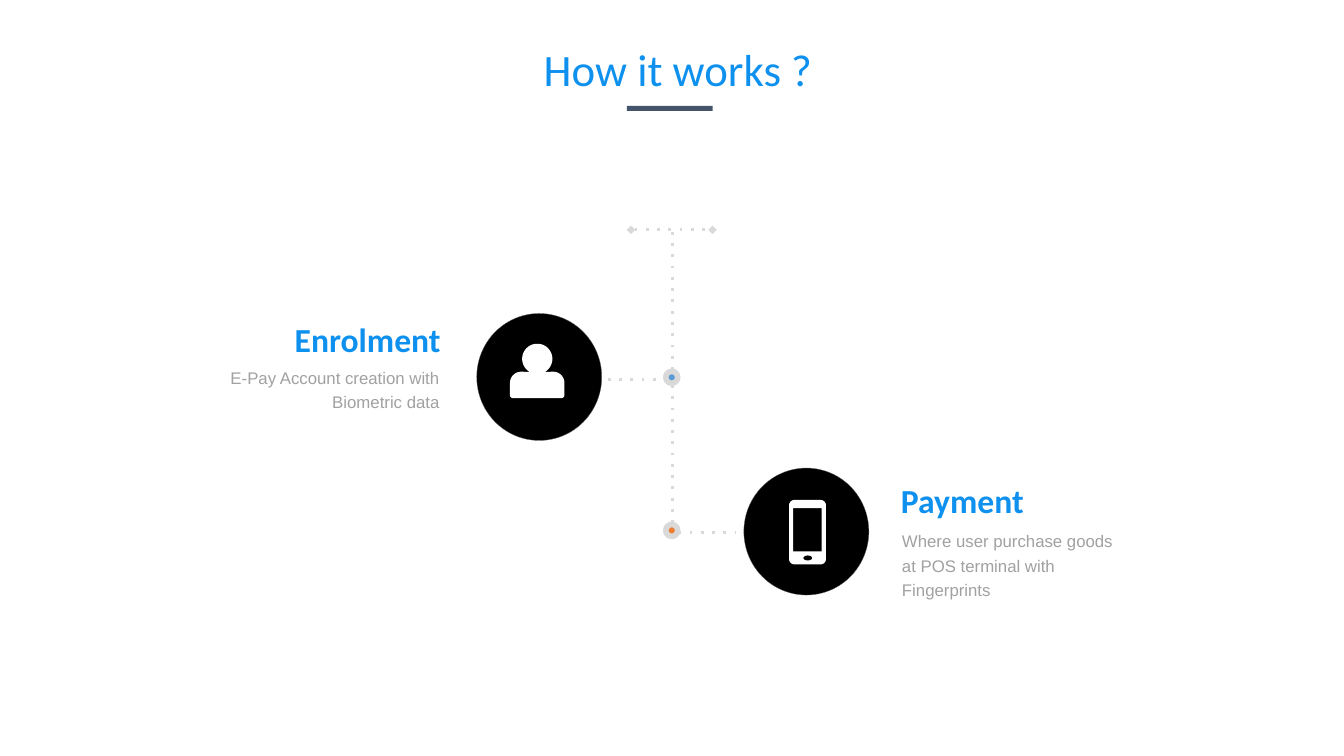
"""Build the "How it works ?" slide with its two-step dotted timeline."""
import math

import lxml.etree
import pptx
import pptx.dml.color
import pptx.enum.dml
import pptx.enum.shapes
import pptx.enum.text
import pptx.oxml.ns
import pptx.util

Pt = pptx.util.Pt
RGBColor = pptx.dml.color.RGBColor
Shape = pptx.enum.shapes.MSO_SHAPE
Align = pptx.enum.text.PP_ALIGN
AutoSize = pptx.enum.text.MSO_AUTO_SIZE

BLUE = RGBColor(0x0E, 0x91, 0xEE)
GREY = RGBColor(0xA1, 0xA1, 0xA1)
PALE = RGBColor(0xD9, 0xD9, 0xD9)
RIM = RGBColor(0x66, 0x66, 0x66)
SLATE = RGBColor(0x44, 0x54, 0x6A)
BLACK = RGBColor(0, 0, 0)
WHITE = RGBColor(0xFF, 0xFF, 0xFF)
DOT_BLUE = RGBColor(0x5B, 0x9B, 0xD5)
DOT_ORANGE = RGBColor(0xED, 0x7D, 0x31)
AXIS = 480.3


def paint(shape, fill, line=None, width=0):
    shape.shadow.inherit = False
    shape.fill.solid()
    shape.fill.fore_color.rgb = fill
    if line is None:
        shape.line.fill.background()
    else:
        shape.line.color.rgb = line
        shape.line.width = Pt(width)


def add_ellipse(slide, centre_x, centre_y, width, height, fill, line=None, line_width=0):
    ellipse = slide.shapes.add_shape(
        Shape.OVAL, Pt(centre_x - width / 2), Pt(centre_y - height / 2), Pt(width), Pt(height))
    paint(ellipse, fill, line, line_width)
    return ellipse


def add_badge(slide, centre_x, centre_y):
    add_ellipse(slide, centre_x, centre_y, 79.2, 79.9, BLACK)
    rim = add_ellipse(slide, centre_x, centre_y, 89.3, 90.7, BLACK, RIM, 0.25)
    rim.line.dash_style = pptx.enum.dml.MSO_LINE.SQUARE_DOT


def add_dotted_line(slide, start, end, ends=None):
    line = slide.shapes.add_connector(
        pptx.enum.shapes.MSO_CONNECTOR.STRAIGHT, *map(Pt, start + end))
    line.line.color.rgb = PALE
    line.line.width = Pt(2)
    stroke = line.line._get_or_add_ln()
    qn = pptx.oxml.ns.qn
    lxml.etree.SubElement(stroke, qn("a:prstDash"), val="dot")
    if ends:
        for tag in ("a:headEnd", "a:tailEnd"):
            lxml.etree.SubElement(stroke, qn(tag), type=ends)
    lxml.etree.SubElement(line._element.spPr, qn("a:effectLst"))


def format_paragraph(frame, text, font, size, color, align, bold=False):
    para = frame.paragraphs[0]
    para.text = text
    para.alignment = align
    para.font.name = font
    para.font.size = Pt(size)
    para.font.bold = bold
    para.font.color.rgb = color
    return para


def add_box(slide, left, top, width, height, wrap):
    box = slide.shapes.add_textbox(*map(Pt, (left, top, width, height)))
    box.text_frame.word_wrap = wrap
    box.text_frame.auto_size = AutoSize.SHAPE_TO_FIT_TEXT
    return box.text_frame


def add_step(slide, heading, heading_place, body, body_place, align):
    frame = add_box(slide, *heading_place, wrap=False)
    format_paragraph(frame, heading, "Calibri", 24, BLUE, align, bold=True)
    frame = add_box(slide, *body_place, wrap=True)
    para = format_paragraph(frame, body, "Arial", 12, GREY, align)
    para.line_spacing = 1.2
    para.space_before = Pt(8.5)


def arc(centre_x, centre_y, radius_x, radius_y, start, end):
    steps = max(8, (end - start) // 8)
    angles = [math.radians(start + (end - start) * i / steps) for i in range(steps + 1)]
    return [(centre_x + radius_x * math.cos(a), centre_y + radius_y * math.sin(a))
            for a in angles]


def rounded_outline(left, top, right, bottom, top_radius, bottom_radius):
    corners = (
        (right - top_radius, top + top_radius, top_radius, -90),
        (right - bottom_radius, bottom - bottom_radius, bottom_radius, 0),
        (left + bottom_radius, bottom - bottom_radius, bottom_radius, 90),
        (left + top_radius, top + top_radius, top_radius, 180))
    return [point for x, y, radius, start in corners
            for point in arc(x, y, radius, radius, start, start + 90)]


def add_icon(slide, *outlines):
    outlines = [[(Pt(x), Pt(y)) for x, y in outline] for outline in outlines]
    builder = slide.shapes.build_freeform(*outlines[0][0])
    builder.add_line_segments(outlines[0][1:], close=True)
    for outline in outlines[1:]:
        builder.move_to(*outline[0])
        builder.add_line_segments(outline[1:], close=True)
    paint(builder.convert_to_shape(), WHITE)


def add_title(slide, text):
    title = slide.shapes.title
    title.left, title.top, title.width, title.height = map(Pt, (214.6, 28.1, 539.3, 42.5))
    frame = title.text_frame
    frame.auto_size = AutoSize.NONE
    frame.vertical_anchor = pptx.enum.text.MSO_ANCHOR.TOP
    frame.margin_left = frame.margin_right = Pt(3.6)
    frame.margin_top = frame.margin_bottom = Pt(1.8)
    format_paragraph(frame, text, "Calibri", 32, BLUE, Align.CENTER)
    bar = slide.shapes.add_shape(Shape.RECTANGLE, Pt(447.8), Pt(75.6), Pt(61.2), Pt(3.6))
    paint(bar, SLATE)


def main():
    deck = pptx.Presentation()
    deck.slide_width, deck.slide_height = Pt(960), Pt(540)
    slide = deck.slides.add_slide(deck.slide_layouts[5])
    add_title(slide, "How it works ?")

    add_badge(slide, 576, 379.7)
    add_badge(slide, 385.2, 269.3)
    add_dotted_line(slide, (AXIS, 165.6), (AXIS, 264.2))
    add_dotted_line(slide, (AXIS, 275), (AXIS, 373))
    add_dotted_line(slide, (434.2, 270.9), (475.2, 270.9))
    add_dotted_line(slide, (484.6, 380.4), (525.6, 380.4))
    add_dotted_line(slide, (450.7, 164.2), (509, 164.2), ends="diamond")
    for centre_y, color in ((269.5, DOT_BLUE), (378.9, DOT_ORANGE)):
        add_ellipse(slide, 479.8, centre_y, 8.6, 8.6, color, PALE, 4)

    add_step(slide, "Enrolment", (202.3, 223.9, 119.5, 36),
             "E-Pay Account creation with Biometric data",
             (149, 256.3, 172.1, 42.5), Align.RIGHT)
    add_step(slide, "Payment", (636.5, 339.1, 103, 36),
             "Where user purchase goods at POS terminal with Fingerprints",
             (637.2, 373, 172.1, 59.8), Align.LEFT)

    phone = rounded_outline(563.6, 357.1, 590, 403.2, 4, 4)
    button = arc(577, 398.6, 3.2, 1.8, 0, 360)
    screen = [(566.6, 362.9), (586.8, 362.9), (586.8, 393.8), (566.6, 393.8)]
    add_icon(slide, phone, button, screen)
    head = arc(383.8, 256.3, 10.8, 10.8, 120, 420)
    body = rounded_outline(364.3, 265.5, 403.2, 284.4, 8, 2.2)
    add_icon(slide, head + body)
    deck.save("out.pptx")


if __name__ == "__main__":
    main()
